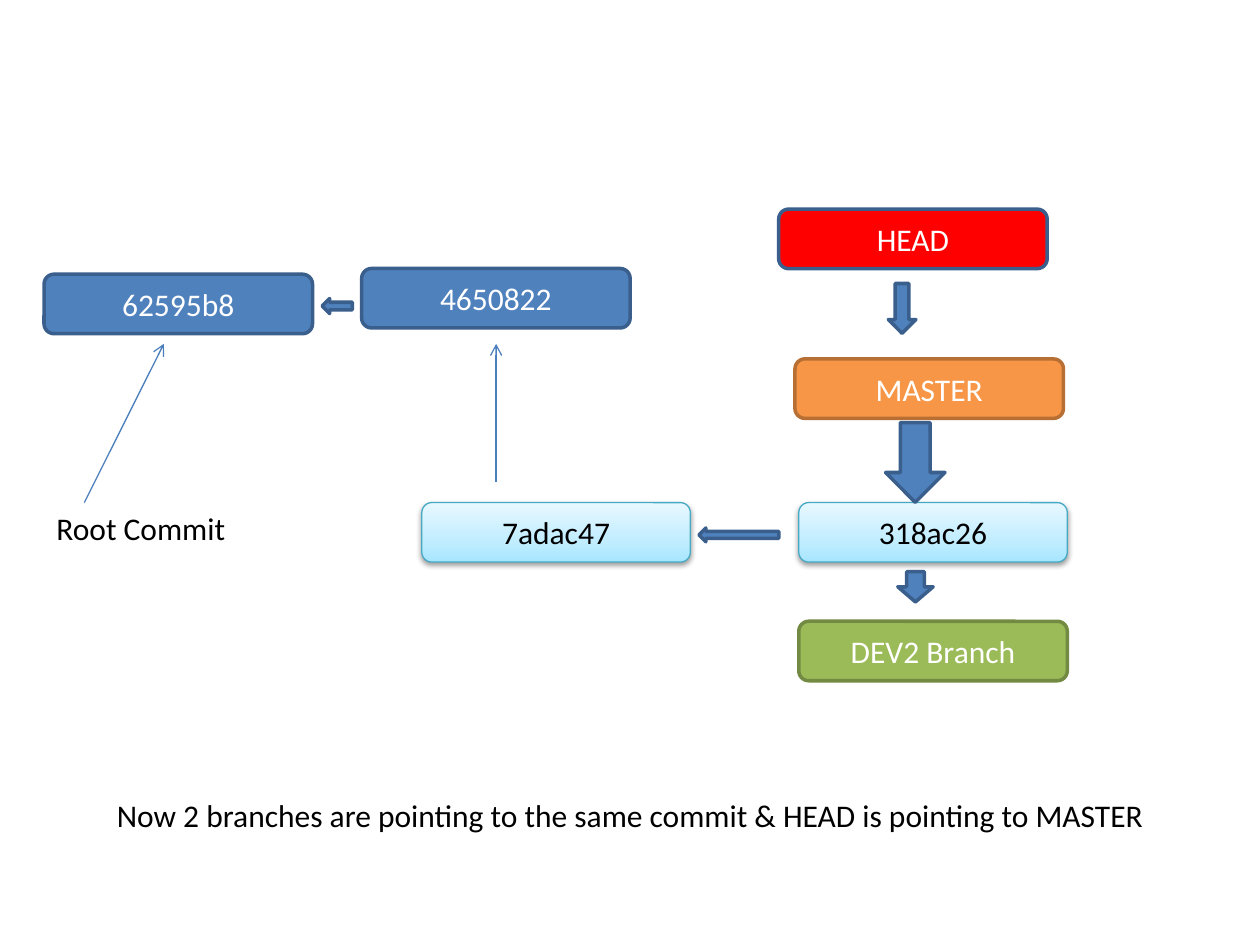
import pptx
import pptx.dml.color
import pptx.enum.shapes
import pptx.enum.text
import pptx.oxml
import pptx.oxml.ns
import pptx.util

Pt = pptx.util.Pt
Shape = pptx.enum.shapes.MSO_SHAPE
BLUE, BLUE_EDGE, LINK = "4F81BD", "3A5F8C", "4B7EBC"
WHITE, BLACK = "FFFFFF", "000000"
BOX_WIDTH, BOX_HEIGHT = 153.4, 34
ICE_STOPS = [(0, "A7E6FF"), (35, "C1EDFF"), (100, "E7F8FF")]
NAMESPACE = pptx.oxml.ns.nsdecls("a")


def color(value):
    """Turn a hex string into a colour."""
    return pptx.dml.color.RGBColor.from_string(value)


class CommitDiagram:
    """Draw commit boxes, arrows and labels on one slide."""

    font, size = "Calibri", 18

    def __init__(self, slide):
        """Keep the slide to draw on."""
        self.slide = slide

    def add_text(self, shape, text, text_color, alignment):
        """Put one styled run into a shape."""
        paragraph = shape.text_frame.paragraphs[0]
        paragraph.alignment = alignment
        run = paragraph.add_run()
        run.text = text
        run.font.name, run.font.size = self.font, Pt(self.size)
        run.font.color.rgb = color(text_color)

    def preset(self, kind, left, top, width, height, fill, edge, edge_width=2):
        """Add a filled and outlined preset shape."""
        shape = self.slide.shapes.add_shape(
            kind, Pt(left), Pt(top), Pt(width), Pt(height))
        shape.shadow.inherit = False
        shape.fill.solid()
        shape.fill.fore_color.rgb = color(fill)
        shape.line.color.rgb = color(edge)
        shape.line.width = Pt(edge_width)
        return shape

    def box(self, text, left, top, fill, edge, text_color=WHITE, edge_width=2):
        """Add a rounded box with a centred caption."""
        shape = self.preset(Shape.ROUNDED_RECTANGLE, left, top,
                            BOX_WIDTH, BOX_HEIGHT, fill, edge, edge_width)
        shape.text_frame.word_wrap = True
        shape.text_frame.vertical_anchor = pptx.enum.text.MSO_ANCHOR.MIDDLE
        self.add_text(shape, text, text_color, pptx.enum.text.PP_ALIGN.CENTER)
        return shape

    def ice_box(self, text, left, top):
        """Add a box with a pale gradient and a soft shadow."""
        shape = self.box(text, left, top, WHITE, "46AAC5", BLACK, 0.75)
        properties = shape.element.spPr
        stops = "".join(
            f'<a:gs pos="{position * 1000}"><a:srgbClr val="{value}"/></a:gs>'
            for position, value in ICE_STOPS)
        gradient = pptx.oxml.parse_xml(
            f'<a:gradFill {NAMESPACE} rotWithShape="1"><a:gsLst>{stops}</a:gsLst>'
            '<a:lin ang="16200000" scaled="0"/></a:gradFill>')
        properties.replace(
            properties.find(pptx.oxml.ns.qn("a:solidFill")), gradient)
        properties.find(pptx.oxml.ns.qn("a:effectLst")).append(
            pptx.oxml.parse_xml(
                f'<a:outerShdw {NAMESPACE} blurRad="{Pt(3.1)}" dist="{Pt(1.6)}" '
                'dir="5400000" rotWithShape="0"><a:srgbClr val="000000">'
                '<a:alpha val="38000"/></a:srgbClr></a:outerShdw>'))

    def block_arrow(self, kind, left, top, width, height):
        """Add a blue block arrow."""
        self.preset(kind, left, top, width, height, BLUE, BLUE_EDGE)

    def pointer(self, start, end):
        """Add a thin line with an open arrowhead at its end."""
        connector = self.slide.shapes.add_connector(
            pptx.enum.shapes.MSO_CONNECTOR.STRAIGHT,
            *(Pt(value) for value in (*start, *end)))
        connector.line.color.rgb = color(LINK)
        connector.line.width = Pt(0.75)
        properties = connector.element.spPr
        properties.find(pptx.oxml.ns.qn("a:ln")).append(
            pptx.oxml.parse_xml(f'<a:tailEnd {NAMESPACE} type="arrow"/>'))
        properties.append(pptx.oxml.parse_xml(f"<a:effectLst {NAMESPACE}/>"))

    def label(self, text, left, top, width, height=29):
        """Add an unwrapped text label."""
        shape = self.slide.shapes.add_textbox(
            Pt(left), Pt(top), Pt(width), Pt(height))
        shape.text_frame.word_wrap = False
        shape.text_frame.auto_size = pptx.enum.text.MSO_AUTO_SIZE.SHAPE_TO_FIT_TEXT
        self.add_text(shape, text, BLACK, pptx.enum.text.PP_ALIGN.LEFT)


def main():
    """Build and save the branch diagram."""
    presentation = pptx.Presentation()
    presentation.slide_width, presentation.slide_height = Pt(720), Pt(540)
    diagram = CommitDiagram(
        presentation.slides.add_slide(presentation.slide_layouts[6]))

    for text, left, top, fill, edge in [
            ("62595b8", 25.2, 156.7, BLUE, BLUE_EDGE),
            ("4650822", 206.7, 153.4, BLUE, BLUE_EDGE),
            ("HEAD", 445, 119.5, "FF0000", BLUE_EDGE),
            ("MASTER", 454.3, 205.1, "F79646", "B76F34"),
            ("DEV2 Branch", 456.5, 355, "9BBB59", "738A42")]:
        diagram.box(text, left, top, fill, edge)
    for text, left in [("7adac47", 241.1), ("318ac26", 456.5)]:
        diagram.ice_box(text, left, 287.2)

    for kind, left, top, width, height in [
            (Shape.DOWN_ARROW, 513, 326.7, 20.2, 17.3),
            (Shape.DOWN_ARROW, 507.6, 162, 15.8, 28.5),
            (Shape.DOWN_ARROW, 506, 241.5, 34, 45.5),
            (Shape.LEFT_ARROW, 184.1, 170.6, 17.3, 8.6),
            (Shape.LEFT_ARROW, 399.4, 301.7, 45.6, 7.9)]:
        diagram.block_arrow(kind, left, top, width, height)

    diagram.pointer((283.5, 275.5), (283.5, 196.5))
    diagram.pointer((48.2, 287.2), (93.6, 196.5))
    diagram.label("Root Commit", 25.2, 287.2, 116)
    diagram.label("Now 2 branches are pointing to the same commit & HEAD is "
                  "pointing to MASTER", 59.7, 451.5, 608.4)
    presentation.save("out.pptx")


if __name__ == "__main__":
    main()
